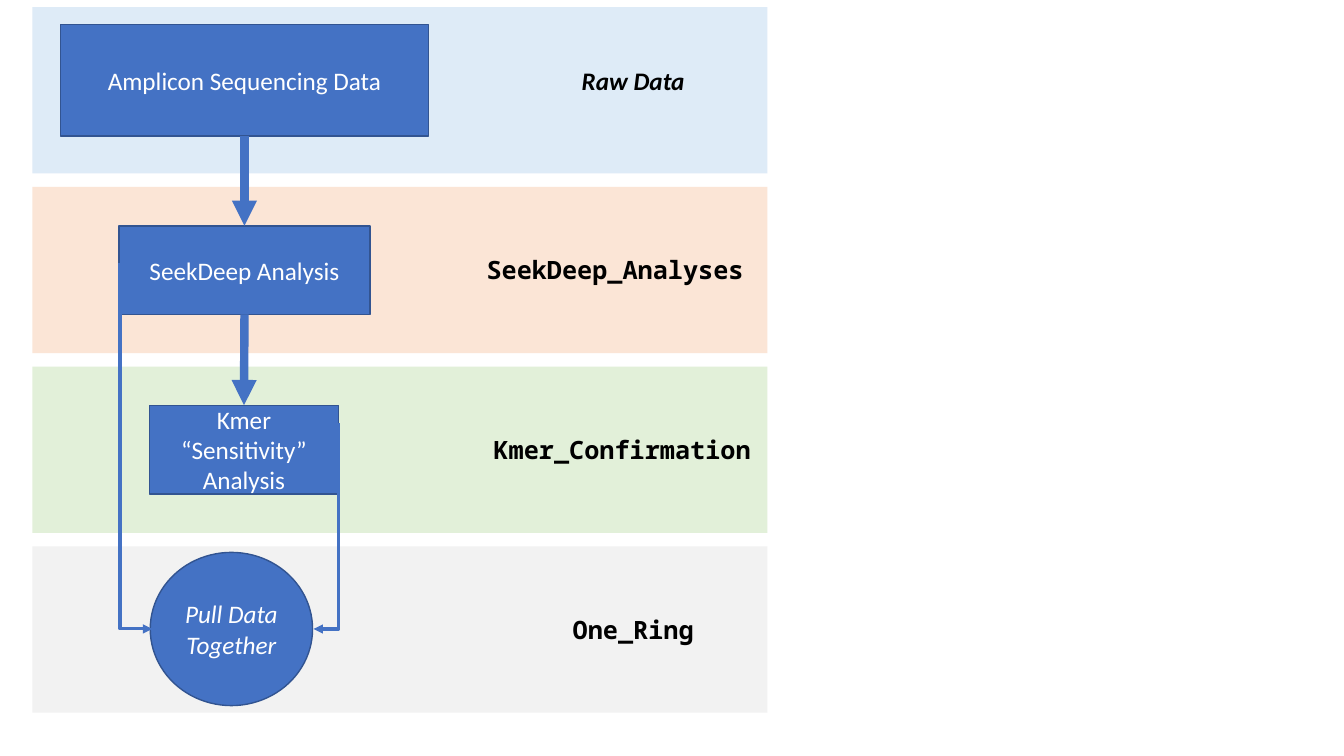
from dataclasses import dataclass

from lxml import etree
from pptx import Presentation
from pptx.dml.color import RGBColor
from pptx.enum.shapes import MSO_CONNECTOR, MSO_SHAPE
from pptx.enum.text import MSO_ANCHOR, PP_ALIGN
from pptx.oxml.ns import qn
from pptx.shapes.autoshape import Shape
from pptx.shapes.connector import Connector
from pptx.shapes.shapetree import GroupShapes, SlideShapes
from pptx.text.text import TextFrame
from pptx.util import Inches, Pt

RECTANGLE, OVAL = MSO_SHAPE.RECTANGLE, MSO_SHAPE.OVAL
STRAIGHT, ELBOW = MSO_CONNECTOR.STRAIGHT, MSO_CONNECTOR.ELBOW
CENTER, MIDDLE = PP_ALIGN.CENTER, MSO_ANCHOR.MIDDLE

BLUE = RGBColor(0x44, 0x72, 0xC4)
DARK_BLUE = RGBColor(0x32, 0x54, 0x91)
WHITE = RGBColor(0xFF, 0xFF, 0xFF)
BLACK = RGBColor(0x00, 0x00, 0x00)
PALE_BLUE = RGBColor(0xDE, 0xEB, 0xF7)
PALE_ORANGE = RGBColor(0xFB, 0xE5, 0xD6)
PALE_GREEN = RGBColor(0xE2, 0xF0, 0xD9)
PALE_GRAY = RGBColor(0xF2, 0xF2, 0xF2)

SANS, MONO = "Calibri", "Noto Sans Mono"
BAND_LEFT, BAND_WIDTH, BAND_HEIGHT = 0.32, 7.29, 1.65
FIRST_BAND_TOP, LAST_BAND_TOP = 0.07, 5.42
LABEL_HEIGHT = 0.4
BOTTOM_SITE, TOP_SITE = 2, 0


@dataclass(frozen=True)
class Box:
    left: float
    top: float
    width: float
    height: float


@dataclass(frozen=True)
class Stage:
    band_color: RGBColor
    step: str
    step_box: Box
    label: str
    label_box: Box
    label_font: str = MONO
    label_italic: bool = False
    step_shape: MSO_SHAPE = RECTANGLE
    step_italic: bool = False


@dataclass(frozen=True)
class Elbow:
    """An arrow that drops from its start, then turns sideways to its end."""
    start_x: float
    start_y: float
    end_x: float
    end_y: float


STAGES = [
    Stage(PALE_BLUE, "Amplicon Sequencing Data", Box(0.6, 0.24, 3.65, 1.11),
          "Raw Data", Box(5.25, 0.6, 2.06, LABEL_HEIGHT), SANS, True),
    Stage(PALE_ORANGE, "SeekDeep Analysis", Box(1.18, 2.24, 2.49, 0.88),
          "SeekDeep_Analyses", Box(4.59, 2.47, 3.02, LABEL_HEIGHT)),
    Stage(PALE_GREEN, "Kmer “Sensitivity” Analysis", Box(1.48, 4.02, 1.88, 0.88),
          "Kmer_Confirmation", Box(4.73, 4.26, 2.88, LABEL_HEIGHT)),
    Stage(PALE_GRAY, "Pull Data Together", Box(1.49, 5.48, 1.61, 1.52),
          "One_Ring", Box(5.25, 6.05, 2.06, LABEL_HEIGHT),
          step_shape=OVAL, step_italic=True),
]

ELBOWS = [Elbow(1.19, 2.61, 1.51, 6.24), Elbow(3.36, 4.2, 3.11, 6.24)]


def in_inches(box: Box) -> tuple:
    return Inches(box.left), Inches(box.top), Inches(box.width), Inches(box.height)


def write(frame: TextFrame, text: str, font: str, color: RGBColor,
          bold: bool = False, italic: bool = False) -> None:
    frame.word_wrap = True
    paragraph = frame.paragraphs[0]
    paragraph.alignment = CENTER
    run = paragraph.add_run()
    run.text = text
    run.font.name = font
    run.font.size = Pt(18)
    run.font.bold = bold
    run.font.italic = italic
    run.font.color.rgb = color


def add_filled(shapes: GroupShapes, kind: MSO_SHAPE, box: Box, color: RGBColor) -> Shape:
    shape = shapes.add_shape(kind, *in_inches(box))
    shape.shadow.inherit = False
    shape.fill.solid()
    shape.fill.fore_color.rgb = color
    shape.line.fill.background()
    return shape


def add_stage(shapes: SlideShapes, stage: Stage, band_top: float) -> Shape:
    """Draw a band with its step and label as one group; return the step."""
    group = shapes.add_group_shape().shapes
    add_filled(group, RECTANGLE, Box(BAND_LEFT, band_top, BAND_WIDTH, BAND_HEIGHT),
               stage.band_color)

    step = add_filled(group, stage.step_shape, stage.step_box, BLUE)
    step.line.color.rgb = DARK_BLUE
    step.line.width = Pt(1)
    step.text_frame.vertical_anchor = MIDDLE
    write(step.text_frame, stage.step, SANS, WHITE, italic=stage.step_italic)

    label = group.add_textbox(*in_inches(stage.label_box))
    write(label.text_frame, stage.label, stage.label_font, BLACK,
          bold=True, italic=stage.label_italic)
    return step


def style_arrow(connector: Connector, width: float) -> None:
    connector.line.color.rgb = BLUE
    connector.line.width = Pt(width)
    properties = connector._element.spPr
    etree.SubElement(properties.find(qn("a:ln")), qn("a:tailEnd"), type="triangle")
    etree.SubElement(properties, qn("a:effectLst"))


def add_step_arrow(shapes: SlideShapes, upper: Shape, lower: Shape) -> None:
    connector = shapes.add_connector(STRAIGHT, 0, 0, 0, 0)
    connector.begin_connect(upper, BOTTOM_SITE)
    connector.end_connect(lower, TOP_SITE)
    style_arrow(connector, 6)


def add_elbow(shapes: SlideShapes, elbow: Elbow) -> None:
    # The one-bend preset runs sideways first, so it is turned a quarter
    width = elbow.end_y - elbow.start_y
    height = abs(elbow.end_x - elbow.start_x)
    left = (elbow.start_x + elbow.end_x - width) / 2
    top = (elbow.start_y + elbow.end_y - height) / 2
    connector = shapes.add_connector(ELBOW, Inches(left), Inches(top),
                                     Inches(left + width), Inches(top + height))
    properties = connector._element.spPr
    properties.find(qn("a:prstGeom")).set("prst", "bentConnector2")
    transform = properties.find(qn("a:xfrm"))
    if elbow.end_x > elbow.start_x:
        transform.set("rot", str(270 * 60000))
        transform.set("flipH", "1")
    else:
        transform.set("rot", str(90 * 60000))
    style_arrow(connector, 2.25)


def main() -> None:
    presentation = Presentation()
    presentation.slide_width = Inches(13.33)
    presentation.slide_height = Inches(7.5)
    slide = presentation.slides.add_slide(presentation.slide_layouts[6])

    # Bands, steps and labels
    pitch = (LAST_BAND_TOP - FIRST_BAND_TOP) / (len(STAGES) - 1)
    steps = [add_stage(slide.shapes, stage, FIRST_BAND_TOP + index * pitch)
             for index, stage in enumerate(STAGES)]

    # Arrows down the main line, then those into the last step
    raw_data, seekdeep, kmer, _ = steps
    add_step_arrow(slide.shapes, raw_data, seekdeep)
    add_step_arrow(slide.shapes, seekdeep, kmer)
    for elbow in ELBOWS:
        add_elbow(slide.shapes, elbow)

    presentation.save("out.pptx")


if __name__ == "__main__":
    main()
